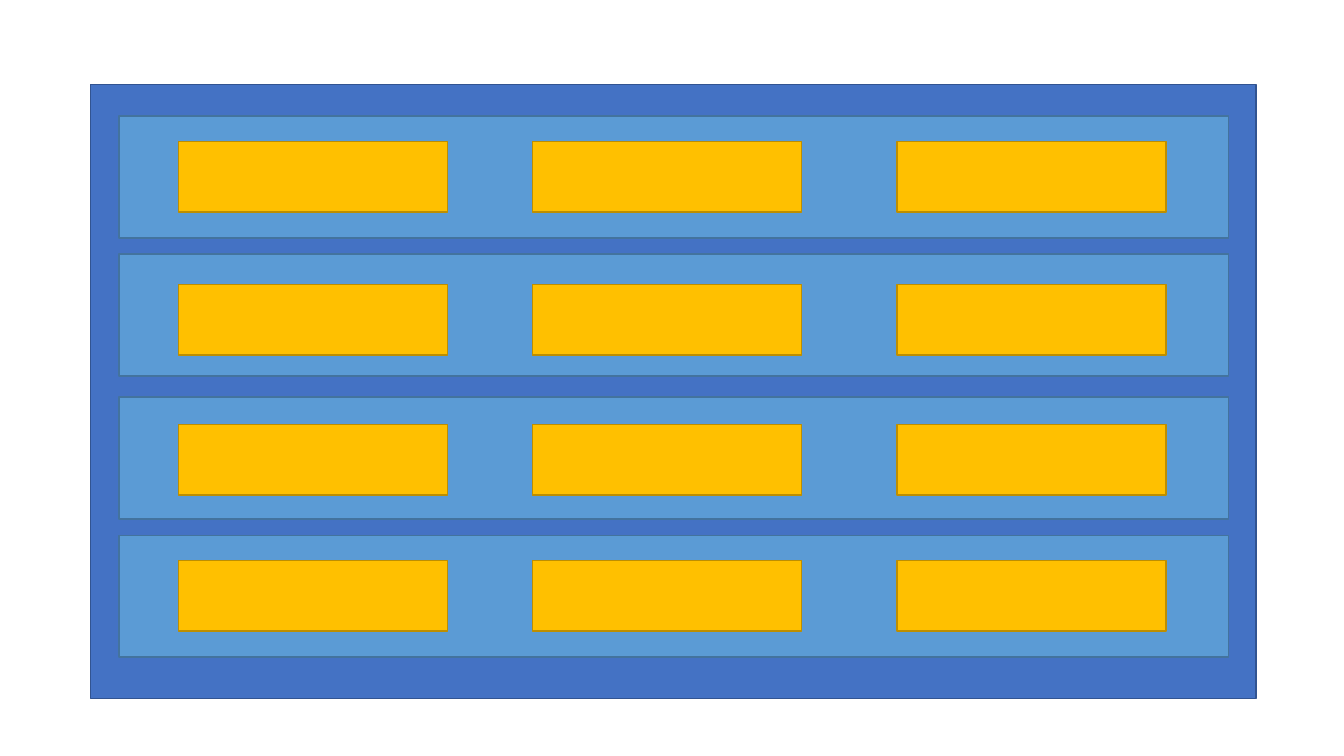
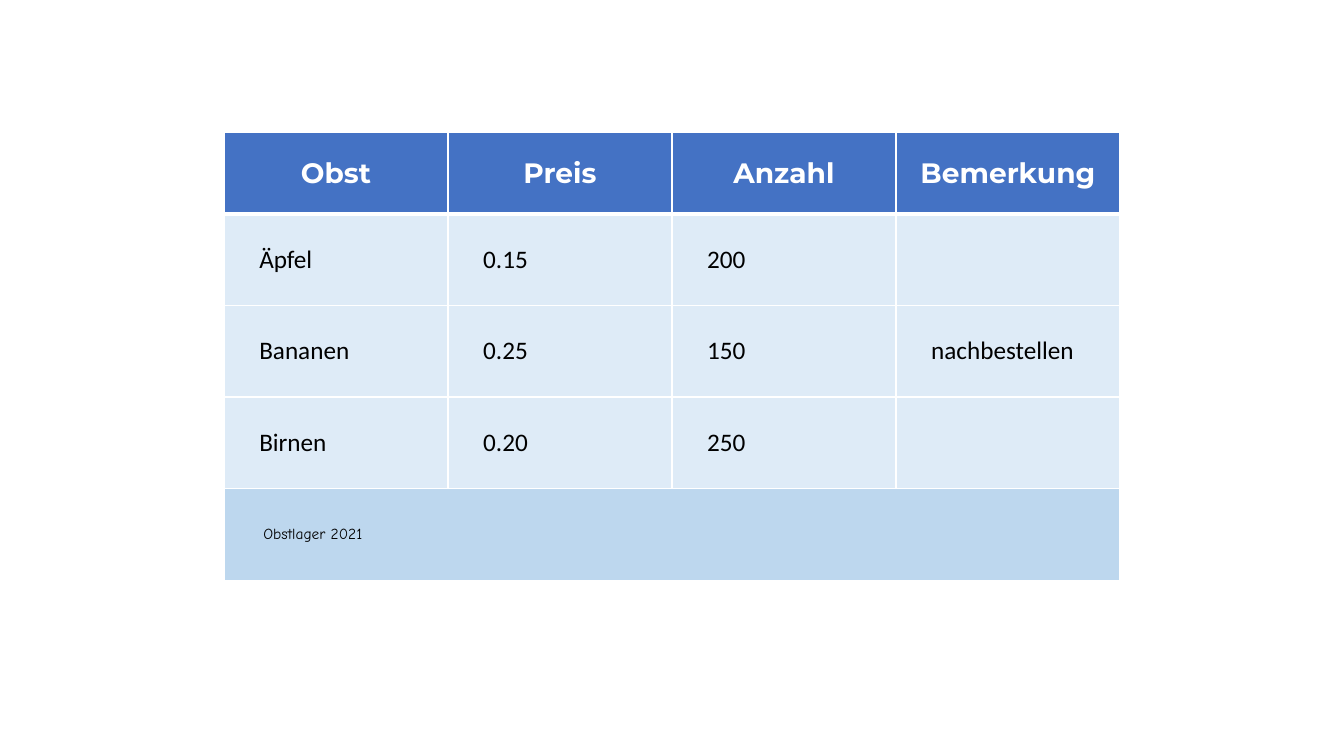
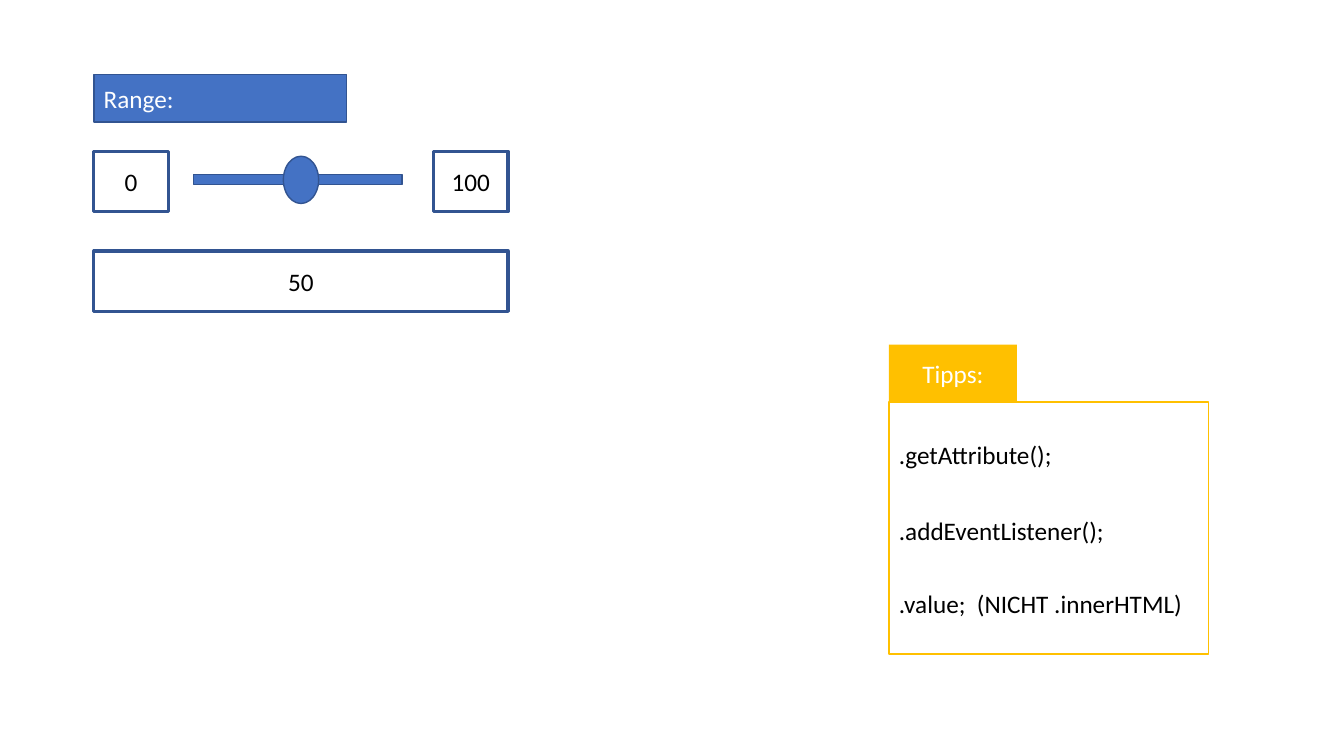
from lxml import etree
from pptx import Presentation
from pptx.dml.color import RGBColor
from pptx.enum.shapes import MSO_SHAPE
from pptx.enum.text import MSO_ANCHOR, PP_ALIGN
from pptx.oxml.ns import qn
from pptx.util import Pt

RECT, OVAL = MSO_SHAPE.RECTANGLE, MSO_SHAPE.OVAL
LEFT, CENTER = PP_ALIGN.LEFT, PP_ALIGN.CENTER
TOP, MIDDLE = MSO_ANCHOR.TOP, MSO_ANCHOR.MIDDLE

COLORS = {
    "blue": "4472C4", "blue_edge": "325491",
    "sky": "5B9BD5", "sky_edge": "43739E",
    "gold": "FFC000", "gold_edge": "BD8E00",
    "pale": "DEEBF7", "footer": "BDD7EE",
    "white": "FFFFFF", "black": "000000",
}
BODY = {"name": "Calibri", "size": Pt(18), "bold": False}
HEADING = {"name": "Montserrat", "size": Pt(20), "bold": True}
FOOTNOTE = {"name": "Comic Neue", "size": Pt(11), "bold": False}

SHELF_ROWS = [(22.3, 18.2), (121, 21.6), (223.2, 19.6), (321.8, 18)]
BOX_LEFTS = [42.5, 295.2, 555.8]

FRUIT_ROWS = [
    ["Obst", "Preis", "Anzahl", "Bemerkung"],
    ["Äpfel", "0.15", "200", ""],
    ["Bananen", "0.25", "150", "nachbestellen"],
    ["Birnen", "0.20", "250", ""],
    ["Obstlager 2021", "", "", ""],
]
TIPS = [
    (".getAttribute();", 0),
    (".addEventListener();", 32.8),
    (".value;  (NICHT .innerHTML)", 30.6),
]


def rgb(color):
    return RGBColor.from_string(COLORS[color])


def apply_format(target, values):
    for attribute, value in values.items():
        setattr(target, attribute, value)


def write(paragraph, text, color, font=BODY, align=LEFT):
    paragraph.alignment = align
    run = paragraph.add_run()
    run.text = text
    apply_format(run.font, font)
    run.font.color.rgb = rgb(color)


def add_block(slide, box, fill=None, edge=None, weight=1, kind=RECT):
    block = slide.shapes.add_shape(kind, *map(Pt, box))
    block.shadow.inherit = False
    if fill:
        block.fill.solid()
        block.fill.fore_color.rgb = rgb(fill)
    else:
        block.fill.background()
    if edge:
        block.line.color.rgb = rgb(edge)
        block.line.width = Pt(weight)
    else:
        block.line.fill.background()
    return block


def add_label(block, text, color, align=CENTER):
    block.text_frame.vertical_anchor = MIDDLE
    write(block.text_frame.paragraphs[0], text, color, align=align)


def add_shelf(slide, box):
    left, top, width, _ = box
    add_block(slide, box, "blue", "blue_edge")
    row_left = left + 20.2
    for row_offset, box_offset in SHELF_ROWS:
        row_top = top + row_offset
        add_block(slide, (row_left, row_top, width - 39.6, 87.1), "sky", "sky_edge")
        for box_left in BOX_LEFTS:
            add_block(slide, (row_left + box_left, row_top + box_offset, 192.2, 50.4),
                      "gold", "gold_edge")


def set_borders(cell, weights):
    properties = cell._tc.get_or_add_tcPr()
    for side, weight in weights.items():
        line = etree.SubElement(properties, qn(f"a:ln{side}"), w=str(Pt(weight)))
        fill = etree.SubElement(line, qn("a:solidFill"))
        etree.SubElement(fill, qn("a:srgbClr"), val=COLORS["white"])


def add_fruit_table(slide, box):
    last = len(FRUIT_ROWS) - 1
    columns = len(FRUIT_ROWS[0])
    table = slide.shapes.add_table(last + 1, columns, *map(Pt, box)).table
    apply_format(table, {"first_row": False, "horz_banding": False})
    header_height = 58.2
    for column in table.columns:
        column.width = Pt(box[2] / columns)
    for index, row in enumerate(table.rows):
        row.height = Pt((box[3] - header_height) / last if index else header_height)

    header = ("blue", "white", HEADING, CENTER, 7.2)
    body = ("pale", "black", BODY, LEFT, 25.2)
    footer = ("footer", "black", FOOTNOTE, LEFT, 28.1)
    styles = [header] + [body] * (last - 1) + [footer]
    for r, (texts, style) in enumerate(zip(FRUIT_ROWS, styles)):
        fill, color, font, align, inset = style
        for c, text in enumerate(texts):
            cell = table.cell(r, c)
            set_borders(cell, {"L": 1, "R": 1, "T": 3 if r == 1 else 1,
                               "B": 3 if r == 0 else 1})
            cell.fill.solid()
            cell.fill.fore_color.rgb = rgb(fill)
            apply_format(cell, {"vertical_anchor": MIDDLE, "margin_left": Pt(inset)})
            if text:
                write(cell.text_frame.paragraphs[0], text, color, font, align)
    table.cell(last, 0).merge(table.cell(last, columns - 1))


def add_range_control(slide, box):
    left, top, width, _ = box
    title = add_block(slide, (left, top, 180.7, 33.8), "blue", "blue_edge")
    add_label(title, "Range:", "white", LEFT)
    end_width, field_height = 53.3, 43.2
    fields = [
        ("0", left, 54.7, end_width),
        ("100", left + width - end_width, 54.7, end_width),
        ("50", left, 126, width),
    ]
    for text, field_left, offset, field_width in fields:
        field = add_block(slide, (field_left, top + offset, field_width, field_height),
                          edge="blue_edge", weight=2.25)
        add_label(field, text, "black")
    add_block(slide, (left + 71.3, top + 71.3, 149, 7.2), "blue", "blue_edge")
    add_block(slide, (left + 135.4, top + 58.3, 25.2, 33.8), "blue", "blue_edge", kind=OVAL)


def add_tips(slide, box):
    left, top, width, height = box
    tab_height = 41
    panel = add_block(slide, (left, top + tab_height, width, height - tab_height),
                      "white", "gold")
    frame = panel.text_frame
    apply_format(frame, {"vertical_anchor": TOP, "margin_top": Pt(26.6), "word_wrap": True})
    for index, (text, gap) in enumerate(TIPS):
        paragraph = frame.add_paragraph() if index else frame.paragraphs[0]
        paragraph.space_before = Pt(gap)
        write(paragraph, text, "black")
    tab = add_block(slide, (left, top, 91.4, tab_height), "gold")
    add_label(tab, "Tipps:", "white")


def main():
    deck = Presentation()
    apply_format(deck, {"slide_width": Pt(960), "slide_height": Pt(540)})
    pages = [
        [(add_shelf, (64.8, 60.5, 832.3, 438.5))],
        [(add_fruit_table, (160, 94.6, 640, 319.8))],
        [(add_range_control, (67, 53.3, 295.9, 169.2)),
         (add_tips, (635, 246.2, 228.2, 221))],
    ]
    for regions in pages:
        slide = deck.slides.add_slide(deck.slide_layouts[6])
        for draw, box in regions:
            draw(slide, box)
    deck.save("out.pptx")


if __name__ == "__main__":
    main()
